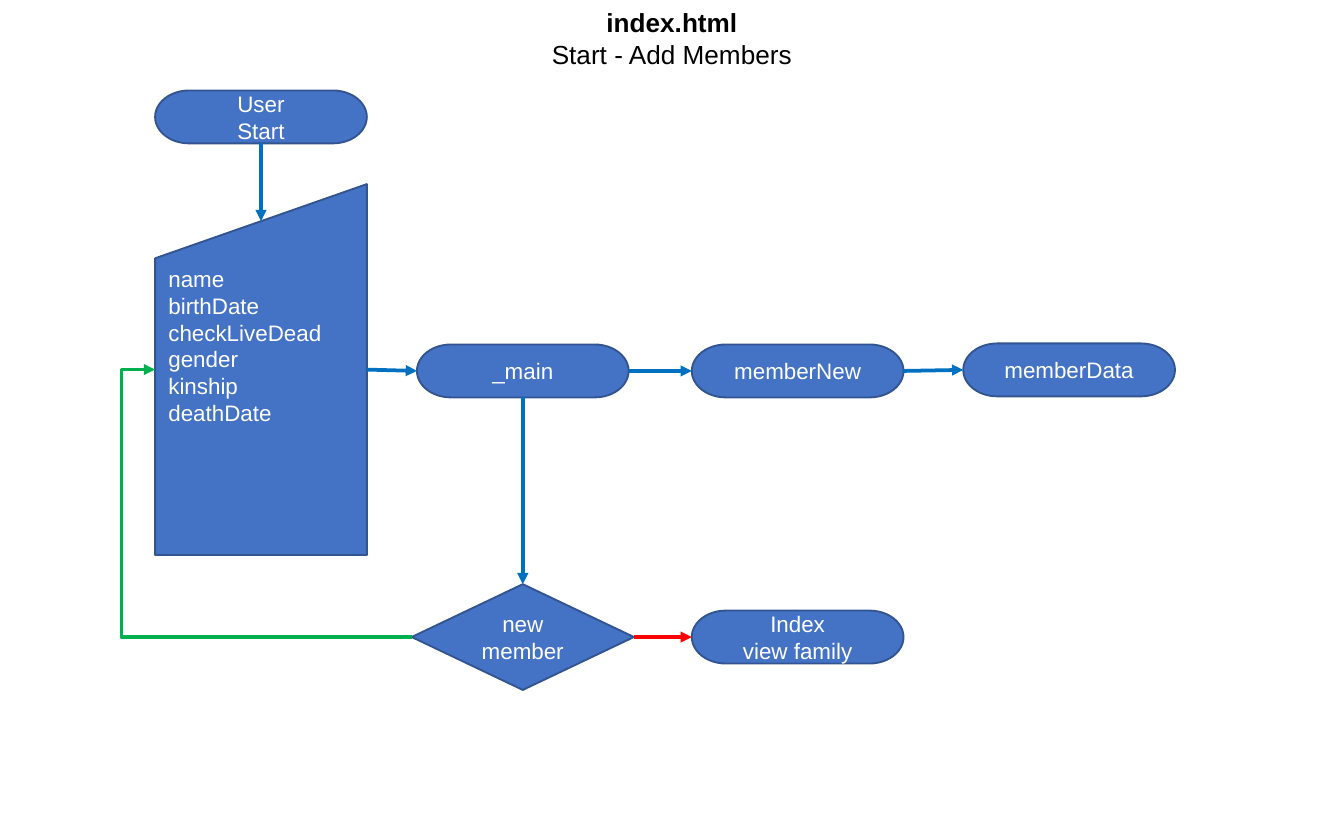
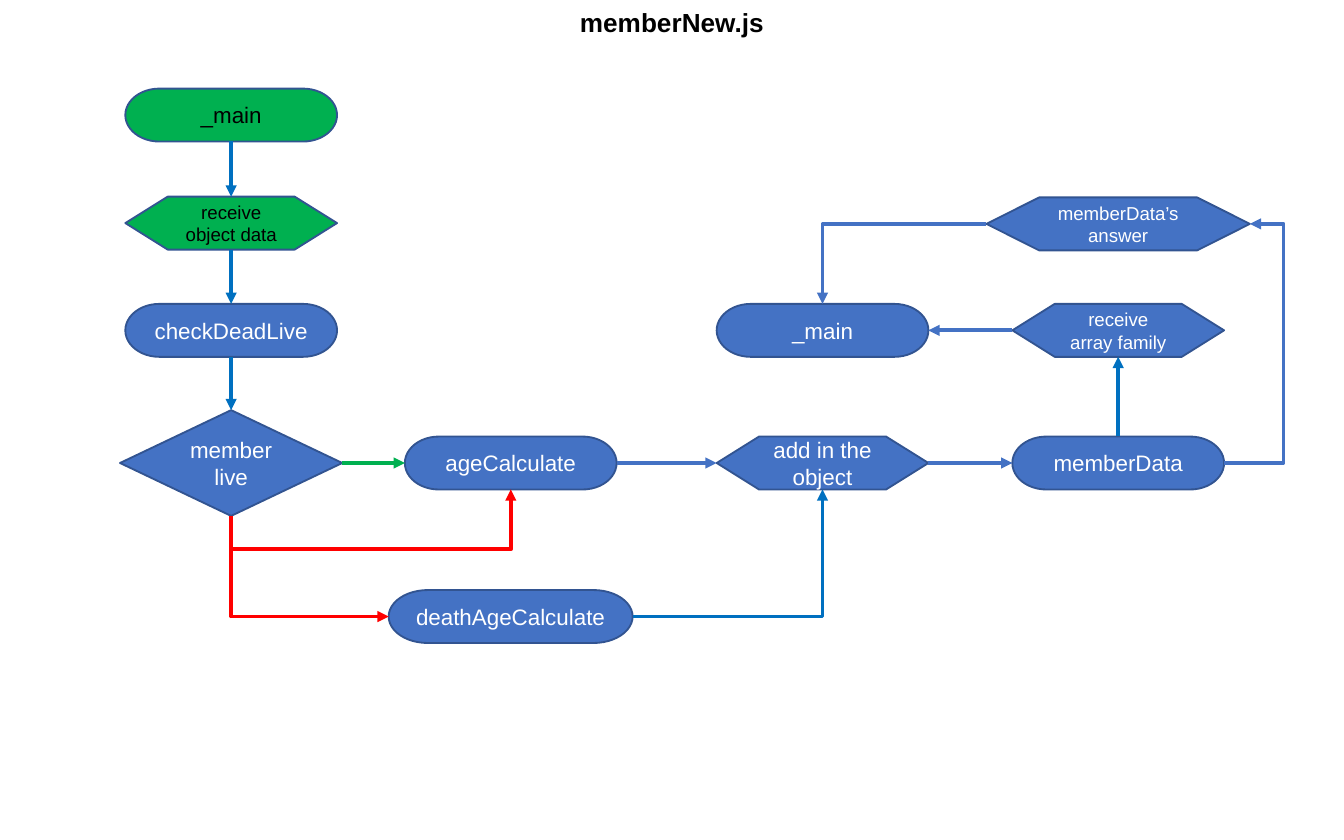
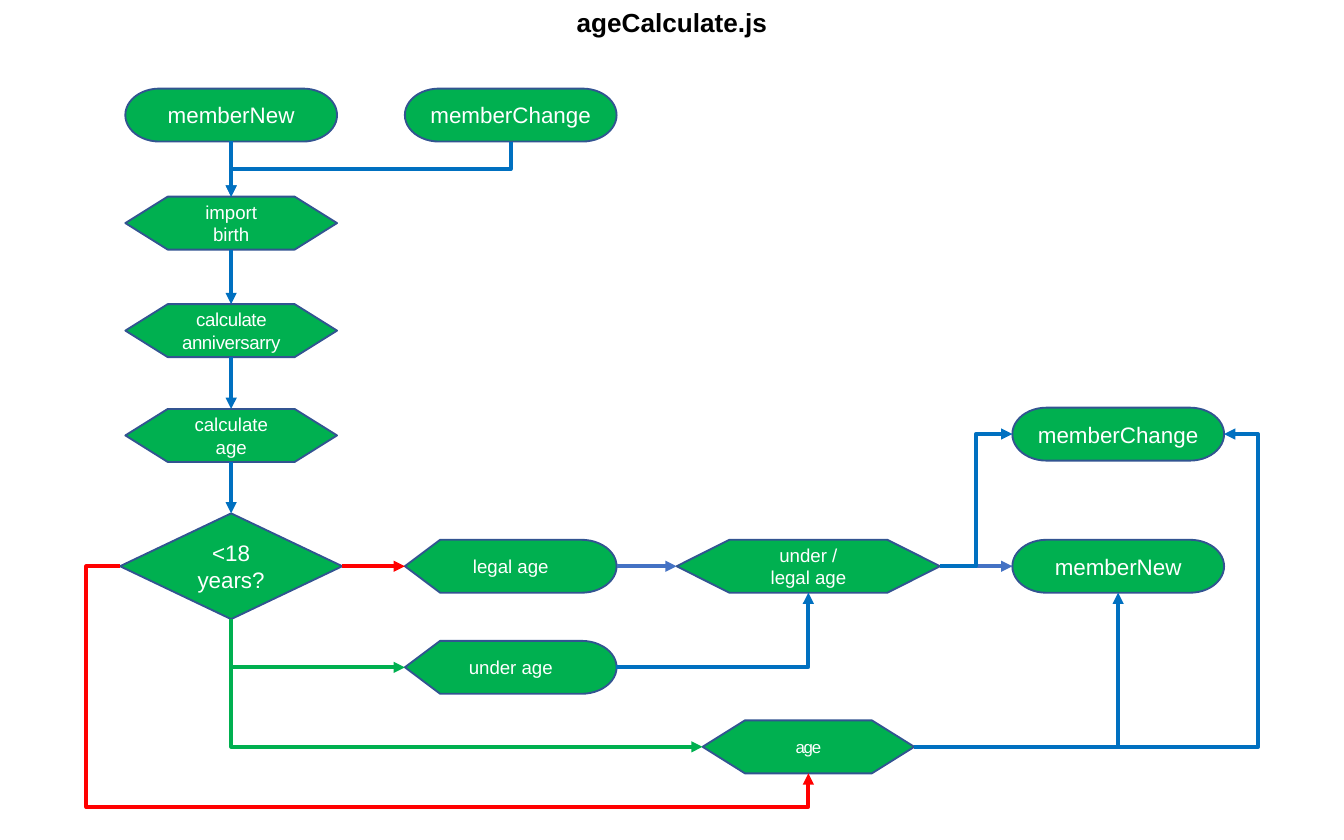
from lxml.etree import SubElement as Sub
from pptx import Presentation
from pptx.dml.color import RGBColor as Rgb
from pptx.enum.shapes import MSO_CONNECTOR as Conn, MSO_SHAPE as Kind
from pptx.enum.text import MSO_ANCHOR as Anchor, MSO_AUTO_SIZE as Fit, PP_ALIGN as Align
from pptx.oxml.ns import qn
from pptx.util import Inches, Pt

W, H = Inches(10), Inches(6.25)
COLS, ROWS = 100, 56.5  # grid of the chart area, square cells
HEAD = 0.096            # share of the slide above the chart area
FONT = "Arial"
INK = {"blue": "4472C4", "edge": "325491", "flow": "0070C0", "green": "00B050",
       "red": "FF0000", "white": "FFFFFF", "black": "000000"}

# Shape kinds: preset, columns wide, rows high
KINDS = {
    "end": (Kind.FLOWCHART_TERMINATOR, 15.75, 3.94),
    "wide": (Kind.FLOWCHART_TERMINATOR, 18.15, 3.94),
    "form": (Kind.FLOWCHART_MANUAL_INPUT, 15.75, 27.6),
    "test": (Kind.FLOWCHART_DECISION, 16.54, 7.87),
    "prep": (Kind.FLOWCHART_PREPARATION, 15.75, 3.94),
    "long": (Kind.FLOWCHART_PREPARATION, 19.6, 3.94),
    "show": (Kind.FLOWCHART_DISPLAY, 15.75, 3.94),
}
SIDES = "tlbr"  # order of the connection sites


def rgb(name):
    return Rgb.from_string(INK[name])


def write(frame, text, size=12, color="white", bold=0, align=Align.CENTER, gap=0):
    """Write one paragraph a line; the first `bold` lines are bold."""
    frame.word_wrap = True
    for i, line in enumerate(text.split("\n")):
        para = frame.paragraphs[0] if i == 0 else frame.add_paragraph()
        para.alignment = align
        run = para.add_run()
        run.text = line
        font = run.font
        font.name, font.size, font.bold = FONT, Pt(size), i < bold
        font.color.rgb = rgb(color)
        if gap:
            run._r.get_or_add_rPr().set("spc", str(gap))


def title(slide, text):
    lines = text.count("\n") + 1
    frame = slide.shapes.add_textbox(0, 0, W, int(H * (0.018 + 0.037 * lines))).text_frame
    frame.auto_size = Fit.SHAPE_TO_FIT_TEXT
    write(frame, text, size=14, color="black", bold=1)


def node(slide, box, kind, col, row, text, fill="blue", **fmt):
    """Place a shape by its centre on the grid of the box."""
    x, y, w, h = box
    preset, wide, high = KINDS[kind]
    cw, rh = w / COLS, h / ROWS
    shape = slide.shapes.add_shape(preset, int(x + (col - wide / 2) * cw),
                                   int(y + (row - high / 2) * rh), int(wide * cw), int(high * rh))
    shape.shadow.inherit = False
    shape.fill.solid()
    shape.fill.fore_color.rgb = rgb(fill)
    shape.line.color.rgb = rgb("edge")
    shape.line.width = Pt(1)
    frame = shape.text_frame
    frame.vertical_anchor = Anchor.TOP if kind == "form" else Anchor.MIDDLE
    write(frame, text, **fmt)
    return shape


def site(shape, side):
    x, y, w, h = shape.left, shape.top, shape.width, shape.height
    # The sloped top of a form is met a tenth of the way down
    top = y + h // 10 if shape.auto_shape_type == Kind.FLOWCHART_MANUAL_INPUT else y
    return {"t": (x + w // 2, top), "l": (x, y + h // 2),
            "b": (x + w // 2, y + h), "r": (x + w, y + h // 2)}[side]


def wire(slide, box, nodes, start, end, color="flow", *bends):
    """Join two sites, such as "main.r"; bends are grid lines the wire runs along."""
    (a, out), (b, into) = start.split("."), end.split(".")
    p, q = site(nodes[a], out), site(nodes[b], into)
    down = out in "tb"
    plain = not bends and down == (into in "tb")
    line = slide.shapes.add_connector(Conn.STRAIGHT if plain else Conn.ELBOW, *p, *q)
    line.begin_connect(nodes[a], SIDES.index(out))
    line.end_connect(nodes[b], SIDES.index(into))

    # Frame: an elbow that leaves vertically is a quarter turn of a level one
    dx, dy = q[0] - p[0], q[1] - p[1]
    turn = down and not plain
    w, h = (abs(dy), abs(dx)) if turn else (abs(dx), abs(dy))
    line.left, line.top = (p[0] + q[0] - w) // 2, (p[1] + q[1] - h) // 2
    line.width, line.height = w, h
    props = line._element.spPr
    form = props.find(qn("a:xfrm"))
    flips = (dy < 0, dx > 0) if turn else (dx < 0, dy < 0)
    for key, flip in zip(("flipH", "flipV"), flips):
        form.set(key, str(int(flip)))
    if turn:
        form.set("rot", "5400000")

    # Bends as shares of the run
    if not plain:
        geom = props.find(qn("a:prstGeom"))
        geom.set("prst", f"bentConnector{len(bends) + 2}")
        guides = geom.find(qn("a:avLst"))
        if guides is None:
            guides = Sub(geom, qn("a:avLst"))
        for i, bend in enumerate(bends):
            axis = (down + i) % 2
            spot = box[axis] + bend * box[2] / COLS
            share = (spot - p[axis]) / (q[axis] - p[axis])
            Sub(guides, qn("a:gd"), name=f"adj{i + 1}", fmla=f"val {round(share * 100000)}")

    line.line.color.rgb = rgb(color)
    line.line.width = Pt(2)
    Sub(line.line._get_or_add_ln(), qn("a:tailEnd"), type="triangle")
    Sub(props, qn("a:effectLst"))


def chart(slide, box, parts, wires, **base):
    """Draw all nodes, then the wires between them."""
    nodes = {}
    for name, (kind, col, row, text, *more) in parts.items():
        fmt = {**base, **(more[0] if more else {})}
        if kind in ("prep", "long", "show"):
            fmt = {"size": 10, **fmt}
        nodes[name] = node(slide, box, kind, col, row, text, **fmt)
    for item in wires:
        wire(slide, box, nodes, *item)


def start_flow(slide, box):
    title(slide, "index.html\nStart - Add Members")
    c1, c2, c3, c4 = 19.42, 38.9, 59.35, 79.55
    mid, low = 21.6, 41.4
    fields = "name\nbirthDate\ncheckLiveDead\ngender\nkinship\ndeathDate"
    parts = {
        "user": ("end", c1, 2.7, "User\nStart"),
        "form": ("form", c1, mid - 0.1, fields, {"align": Align.LEFT}),
        "main": ("end", c2, mid, "_main"),
        "new": ("end", c3, mid, "memberNew"),
        "data": ("end", c4, mid - 0.08, "memberData"),
        "test": ("test", c2, low, "new member"),
        "view": ("end", c3, low, "Index\nview family"),
    }
    wires = [
        ("user.b", "form.t"), ("form.r", "main.l"), ("main.r", "new.l"),
        ("new.r", "data.l"), ("main.b", "test.t"),
        ("test.l", "form.l", "green", 9.05), ("test.r", "view.l", "red"),
    ]
    chart(slide, box, parts, wires)


def member_flow(slide, box):
    title(slide, "memberNew.js")
    c1, c2, c3, c4 = 17.2, 38, 61.2, 83.2
    r1, r2, r3, r4, r5 = 2.56, 10.6, 18.58, 28.45, 39.87
    done = {"fill": "green", "color": "black"}
    parts = {
        "main": ("end", c1, r1, "_main", done),
        "get": ("prep", c1, r2, "receive object data", done),
        "check": ("end", c1, r3, "checkDeadLive"),
        "live": ("test", c1, r4, "member live"),
        "age": ("end", c2, r4, "ageCalculate"),
        "death": ("wide", c2, r5, "deathAgeCalculate"),
        "add": ("prep", c3, r4, "add in the\nobject", {"size": 12}),
        "data": ("end", c4, r4, "memberData"),
        "list": ("prep", c4, r3, "receive array family"),
        "reply": ("long", c4, r2 + 0.06, "memberData’s answer"),
        "back": ("end", c3, r3, "_main"),
    }
    wires = [
        ("main.b", "get.t"), ("get.b", "check.t"), ("check.b", "live.t"),
        ("live.r", "age.l", "green"), ("live.b", "death.l", "red"),
        ("live.b", "age.b", "red", 34.88), ("death.r", "add.b"),
        ("age.r", "add.l", "blue"), ("add.r", "data.l", "blue"),
        ("data.t", "list.b"), ("list.l", "back.r", "blue"),
        ("data.r", "reply.r", "blue", 95.5), ("reply.l", "back.t", "blue"),
    ]
    chart(slide, box, parts, wires)


def age_flow(slide, box):
    title(slide, "ageCalculate.js")
    c1, c2, c3, c4 = 17.2, 38, 60.15, 83.2
    r1, r2, r3, r4, r5, r6, r7 = 2.56, 10.6, 18.6, 26.4, 36.13, 43.65, 49.57
    parts = {
        "new": ("end", c1, r1, "memberNew"),
        "edit": ("end", c2, r1, "memberChange"),
        "birth": ("prep", c1, r2, "import\nbirth"),
        "year": ("prep", c1, r3, "calculate anniversarry", {"gap": -20}),
        "calc": ("prep", c1, r4, "calculate age"),
        "test": ("test", c1, r5, "<18 years?"),
        "legal": ("show", c2, r5, "legal age"),
        "under": ("show", c2, r6, "under age"),
        "both": ("long", c3, r5, "under /\nlegal age"),
        "age": ("prep", c3, r7, "age", {"size": 9, "gap": -60}),
        "new2": ("end", c4, r5, "memberNew"),
        "edit2": ("end", c4, r4 - 0.1, "memberChange"),
    }
    wires = [
        ("new.b", "birth.t"), ("edit.b", "birth.t", "flow", 6.58),
        ("birth.b", "year.t"), ("year.b", "calc.t"), ("calc.b", "test.t"),
        ("test.r", "legal.l", "red"), ("test.b", "under.l", "green"),
        ("test.b", "age.l", "green"), ("test.l", "age.b", "red", 6.4, 54.05),
        ("legal.r", "both.l", "blue"), ("under.r", "both.b"),
        ("both.r", "new2.l", "blue"), ("both.r", "edit2.l", "flow", 72.6),
        ("age.r", "new2.b"), ("age.r", "edit2.r", "flow", 93.6),
    ]
    chart(slide, box, parts, wires, fill="green")


def main():
    deck = Presentation()
    deck.slide_width, deck.slide_height = W, H
    area = (0, int(H * HEAD), W, int(H * (1 - HEAD)))
    for draw in (start_flow, member_flow, age_flow):
        draw(deck.slides.add_slide(deck.slide_layouts[6]), area)
    deck.save("out.pptx")


if __name__ == "__main__":
    main()
